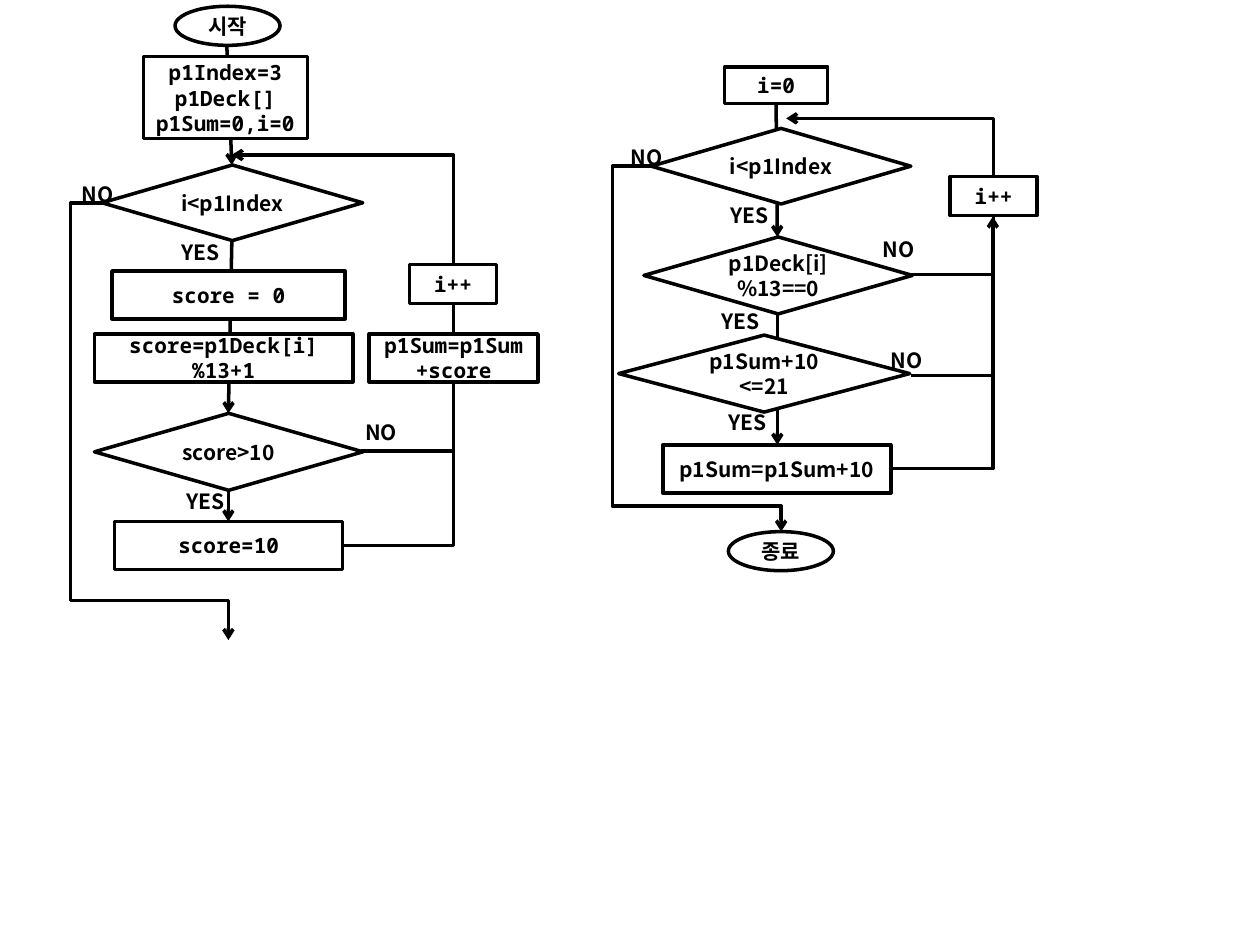
"""Draw a two-part flowchart that scores a card hand."""
import pptx
import pptx.dml.color
import pptx.enum.shapes
import pptx.enum.text
import pptx.oxml.ns
import pptx.util
from lxml import etree

Pt = pptx.util.Pt
SHAPES = pptx.enum.shapes.MSO_SHAPE
CONNECTORS = pptx.enum.shapes.MSO_CONNECTOR
ALIGN = pptx.enum.text.PP_ALIGN
qn = pptx.oxml.ns.qn
SANS, MONO = "Noto Sans CJK KR", "Noto Sans Mono"


def color(value):
    return pptx.dml.color.RGBColor.from_string(value)


class Flowchart:
    ink, paper = "000000", "FFFFFF"
    font_format = {"size": Pt(12), "bold": True}

    def __init__(self, slide):
        self.slide = slide

    def add_text(self, shape, text, font_name, alignment):
        frame = shape.text_frame
        frame.word_wrap = True
        for index, line in enumerate(text.split("\n")):
            paragraph = frame.add_paragraph() if index else frame.paragraphs[0]
            paragraph.alignment = alignment
            run = paragraph.add_run()
            run.text = line
            for name, value in {**self.font_format, "name": font_name}.items():
                setattr(run.font, name, value)
            run.font.color.rgb = color(self.ink)
            east_asian = etree.SubElement(run._r.get_or_add_rPr(), qn("a:ea"))
            east_asian.set("typeface", font_name)

    def outline(self, shape):
        shape.line.color.rgb = color(self.ink)
        shape.line.width = Pt(2)

    def node(self, kind, text, left, top, width, height, font_name, filled=True):
        shape = self.slide.shapes.add_shape(kind, Pt(left), Pt(top), Pt(width), Pt(height))
        shape.shadow.inherit = False
        if filled:
            shape.fill.solid()
            shape.fill.fore_color.rgb = color(self.paper)
        else:
            shape.fill.background()
        self.outline(shape)
        shape.text_frame.vertical_anchor = pptx.enum.text.MSO_ANCHOR.MIDDLE
        self.add_text(shape, text, font_name, ALIGN.CENTER)

    def terminal(self, text, left, top):
        self.node(SHAPES.OVAL, text, left, top, 60, 22.3, SANS, filled=False)

    def decision(self, text, left, top, width, height=44):
        self.node(SHAPES.FLOWCHART_DECISION, text, left, top, width, height, SANS)

    def process(self, text, left, top, width, height=27.4, font_name=MONO):
        self.node(SHAPES.FLOWCHART_PROCESS, text, left, top, width, height, font_name)

    def label(self, text, left, top):
        box = self.slide.shapes.add_textbox(Pt(left), Pt(top), Pt(44), Pt(21.6))
        self.add_text(box, text, SANS, ALIGN.LEFT)

    def line(self, start, end, arrow=True, kind=CONNECTORS.STRAIGHT):
        connector = self.slide.shapes.add_connector(kind, *map(Pt, (*start, *end)))
        self.outline(connector)
        if arrow:
            etree.SubElement(connector.get_or_add_ln(), qn("a:tailEnd")).set("type", "arrow")
        etree.SubElement(connector.element.spPr, qn("a:effectLst"))
        return connector

    def elbow(self, start, end, preset, adjustments=(), arrow=True):
        connector = self.line(start, end, arrow, CONNECTORS.ELBOW)
        geometry = connector.element.spPr.find(qn("a:prstGeom"))
        geometry.set("prst", preset)
        guides = geometry.find(qn("a:avLst"))
        for number, value in enumerate(adjustments, 1):
            guide = etree.SubElement(guides, qn("a:gd"))
            guide.set("name", f"adj{number}")
            guide.set("fmla", f"val {round(value * 100000)}")


def draw_score_loop(chart):
    chart.line((129.6, 26), (132.5, 94.3))
    chart.line((132.5, 137.5), (130.5, 236.2))
    chart.line((130.5, 280), (130.5, 298))
    chart.line((259.2, 190.8), (259.2, 173.5), arrow=False)
    chart.elbow((58.3, 116), (130.5, 365.8), "bentConnector4", (-0.25, 0.91))
    chart.elbow((259.2, 151.2), (132.5, 88.6), "bentConnector3", (0,))
    for start in ((206.6, 257.8), (195.8, 311.8)):
        chart.elbow(start, (259.2, 217.8), "bentConnector2", arrow=False)

    chart.terminal("시작", 100, 3.6)
    chart.process("p1Index=3\np1Deck[]\np1Sum=0,i=0", 82, 32.4, 93.6, 46.8)
    chart.decision("i<p1Index", 58.3, 94.3, 149, 43.2)
    chart.process("score = 0", 64, 154.8, 133.2)
    chart.process("score=p1Deck[i]%13+1", 54, 190.8, 147.6)
    chart.decision("score>10", 54, 236.2, 153.4)
    chart.process("score=10", 65.5, 298, 130.3)
    chart.process("p1Sum=p1Sum+score", 211, 190.8, 96.5)
    chart.process("i++", 234, 151.2, 49.7, 22.3)

    for text, left, top in (("NO", 39.6, 100), ("YES", 96.5, 133.2),
                            ("YES", 99.4, 275.8), ("NO", 201.6, 236.2)):
        chart.label(text, left, top)


def draw_ace_loop(chart):
    chart.line((443.5, 59), (444.2, 135.4))
    chart.line((444.2, 179.3), (444.2, 254.2))
    chart.line((520.6, 214.6), (567.4, 214.6), arrow=False)
    chart.elbow((372.2, 95), (446.4, 303.8), "bentConnector4", (-0.3, 0.93))
    chart.elbow((509, 267.8), (567.4, 123.8), "bentConnector2")
    chart.elbow((520.6, 157), (449.3, 67.7), "bentConnector4", (-0.66, 1))

    chart.process("i=0", 414, 38.2, 59, 20.9)
    chart.decision("i<p1Index", 372.2, 73.4, 148.3, 43.2)
    chart.decision("p1Deck[i]%13==0", 368, 135.4, 153.4)
    chart.decision("p1Sum+10\n<=21", 353.5, 191.5, 166.3)
    chart.process("p1Sum=p1Sum+10", 378.7, 254.2, 130.3, font_name=SANS)
    chart.process("i++", 542.9, 100.8, 49.7, 22.3)
    chart.terminal("종료", 416.2, 303.8)

    for text, left, top in (("NO", 353.5, 79.2), ("YES", 410.4, 112.3),
                            ("NO", 497.5, 131.8), ("YES", 405.4, 172.8),
                            ("NO", 501.8, 195.1), ("YES", 409, 230.4)):
        chart.label(text, left, top)


def main():
    presentation = pptx.Presentation()
    size = {"slide_width": Pt(720), "slide_height": Pt(540)}
    for name, value in size.items():
        setattr(presentation, name, value)
    chart = Flowchart(presentation.slides.add_slide(presentation.slide_layouts[6]))
    draw_score_loop(chart)
    draw_ace_loop(chart)
    presentation.save("out.pptx")


if __name__ == "__main__":
    main()
